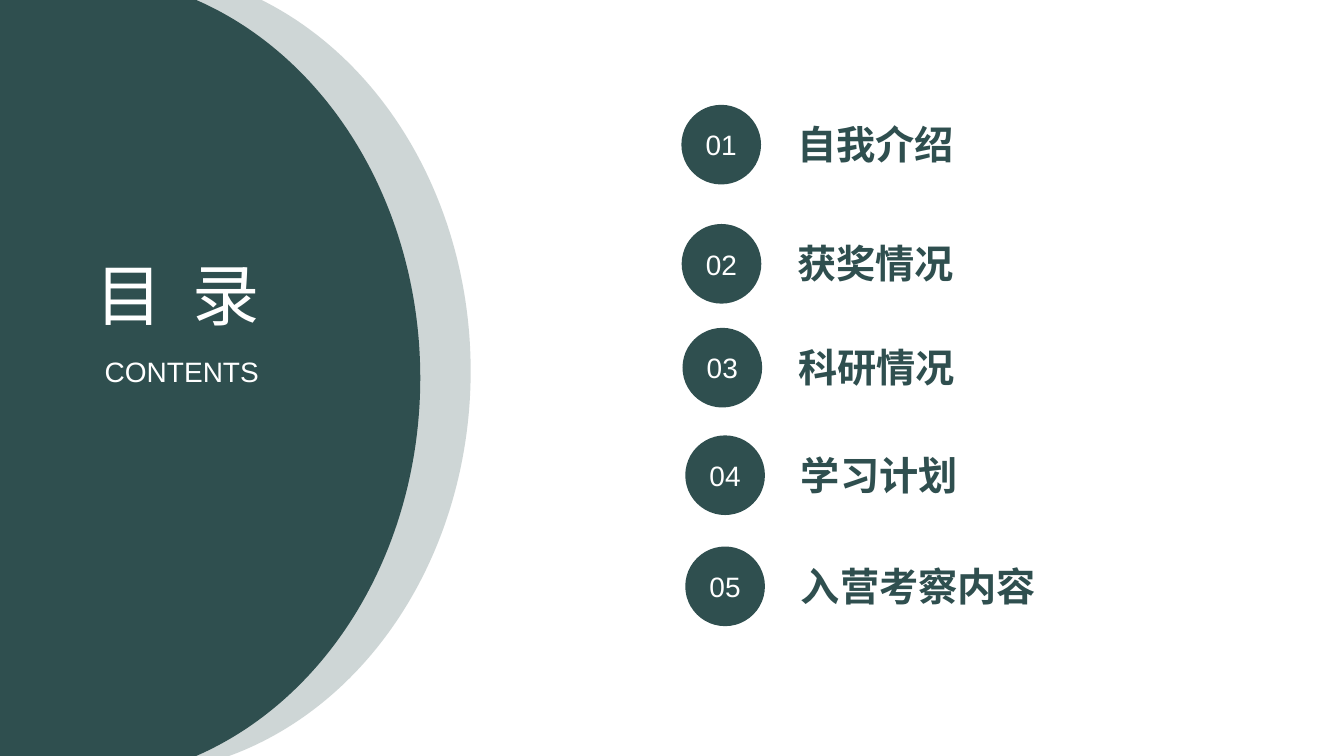
from lxml.etree import SubElement
from pptx import Presentation
from pptx.dml.color import RGBColor
from pptx.enum.shapes import MSO_SHAPE
from pptx.enum.text import MSO_ANCHOR, PP_ALIGN
from pptx.oxml.ns import qn
from pptx.util import Pt

COLORS = {"green": "2F4F4F", "white": "FFFFFF"}
LATIN_FONT = "Arial"
CHINESE_FONT = "Noto Sans CJK SC"
CIRCLE_SIZE = 56.9
LABEL_OFFSET = (75.6, 7.6)
CHAPTERS = [
    ("自我介绍", 486.7, 74.9),
    ("获奖情况", 486.9, 160),
    ("科研情况", 487.5, 234.2),
    ("学习计划", 489.5, 311),
    ("入营考察内容", 489.5, 390.4),
]


def color(name):
    return RGBColor.from_string(COLORS[name])


def set_text(para, text, size, tint, font=LATIN_FONT, bold=False, tracking=0):
    para.text = text
    para.font.size = Pt(size)
    para.font.name = font
    para.font.bold = bold
    para.font.color.rgb = color(tint)
    properties = para._p.find(f"{qn('a:pPr')}/{qn('a:defRPr')}")
    SubElement(properties, qn("a:ea"), typeface=CHINESE_FONT)
    if tracking:
        properties.set("spc", str(round(tracking * 100)))


def add_ellipse(page, left, top, width, height, opacity=100):
    ellipse = page.shapes.add_shape(
        MSO_SHAPE.OVAL, Pt(left), Pt(top), Pt(width), Pt(height)
    )
    ellipse.shadow.inherit = False
    ellipse.line.fill.background()
    ellipse.fill.solid()
    ellipse.fill.fore_color.rgb = color("green")
    if opacity < 100:
        fill = ellipse._element.spPr.find(f"{qn('a:solidFill')}/{qn('a:srgbClr')}")
        SubElement(fill, qn("a:alpha"), val=str(opacity * 1000))
    return ellipse


def add_text(page, left, top, width, height, text, size, tint, **style):
    box = page.shapes.add_textbox(Pt(left), Pt(top), Pt(width), Pt(height))
    box.text_frame.word_wrap = True
    set_text(box.text_frame.paragraphs[0], text, size, tint, **style)


def add_chapter(page, number, title, left, top):
    circle = add_ellipse(page, left, top, CIRCLE_SIZE, CIRCLE_SIZE)
    frame = circle.text_frame
    frame.vertical_anchor = MSO_ANCHOR.MIDDLE
    para = frame.paragraphs[0]
    para.alignment = PP_ALIGN.CENTER
    set_text(para, f"{number:02d}", 20, "white")
    across, down = LABEL_OFFSET
    add_text(page, left + across, top + down, 196, 41, title, 28, "green",
             font=CHINESE_FONT, bold=True)


def main():
    deck = Presentation()
    deck.slide_width, deck.slide_height = Pt(960), Pt(540)
    page = deck.slides.add_slide(deck.slide_layouts[6])
    add_ellipse(page, -190.8, -18, 491, 576)
    add_ellipse(page, -154.8, -23, 491, 576, opacity=23)
    add_text(page, 61.2, 177.1, 153.4, 65.5, "目 录", 48, "white", tracking=5.4)
    add_text(page, 67.7, 249.8, 131.8, 31.7, "CONTENTS", 20, "white")
    for number, (title, left, top) in enumerate(CHAPTERS, 1):
        add_chapter(page, number, title, left, top)
    deck.save("out.pptx")


if __name__ == "__main__":
    main()
